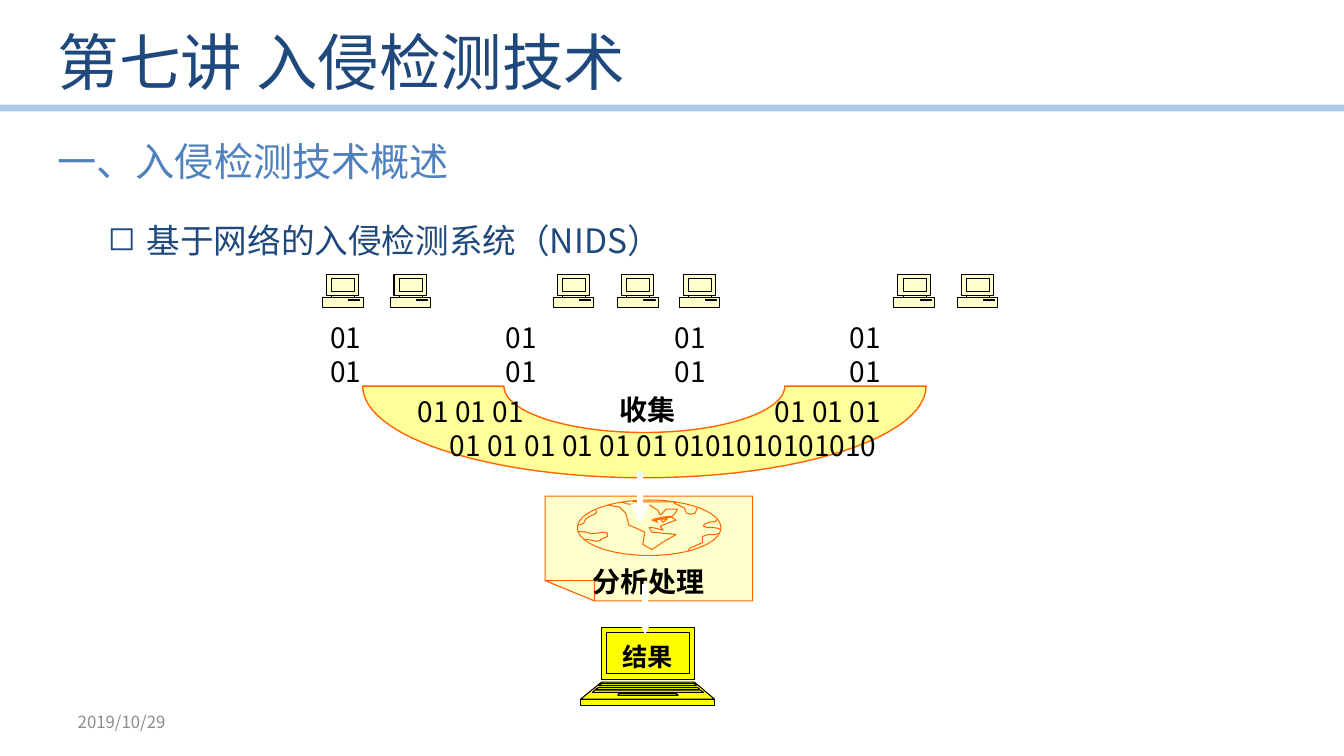
from dataclasses import dataclass
from math import cos, pi, sin

from lxml import etree
from pptx import Presentation
from pptx.dml.color import RGBColor
from pptx.enum.shapes import MSO_CONNECTOR
from pptx.enum.text import MSO_ANCHOR, PP_ALIGN
from pptx.oxml.ns import qn
from pptx.util import Cm, Pt

STRAIGHT = MSO_CONNECTOR.STRAIGHT
TOP, MIDDLE = MSO_ANCHOR.TOP, MSO_ANCHOR.MIDDLE
LEFT, CENTER = PP_ALIGN.LEFT, PP_ALIGN.CENTER


@dataclass(frozen=True)
class Theme:
    font: str = "Noto Sans CJK SC"
    navy: str = "1F497D"
    blue: str = "4F81BD"
    rule: str = "8EB4E3"
    gray: str = "8C8C8C"
    black: str = "000000"
    white: str = "FFFFFF"
    orange: str = "FF6600"
    cream: str = "FFFFCC"
    lemon: str = "FFFF99"
    yellow: str = "FFFF00"
    title: int = 44
    head: int = 28
    body: int = 24
    label: int = 20
    small: int = 18
    date: int = 12


def band(left, top, right, low, left2=None, right2=None):
    return [(left, top), (right, top),
            (right if right2 is None else right2, low),
            (left if left2 is None else left2, low)]


def arc(x, y, wide, high, start, end, steps=48):
    turns = [start + (end - start) * i / steps for i in range(steps + 1)]
    return [(x + wide * cos(t), y + high * sin(t)) for t in turns]


class Board:
    def __init__(self, slide, theme):
        self.slide = slide
        self.theme = theme

    def style(self, frame, text, size, color, bold=False, align=LEFT, pitch=None):
        frame.text = text
        for para in frame.paragraphs:
            para.alignment = align
            para.line_spacing = Pt(pitch or round(size * 1.3))
            for run in para.runs:
                font = run.font
                font.size, font.bold, font.name = Pt(size), bold, self.theme.font
                font.color.rgb = RGBColor.from_string(color)
                etree.SubElement(font._element, qn("a:ea"), typeface=self.theme.font)

    def inset(self, frame, top=0, low=0):
        frame.margin_left = frame.margin_right = 0
        frame.margin_top, frame.margin_bottom = Cm(top), Cm(low)
        frame.word_wrap = True

    def text(self, box, text, size, color, anchor=MIDDLE, **look):
        frame = self.slide.shapes.add_textbox(*map(Cm, box)).text_frame
        self.inset(frame)
        frame.vertical_anchor = anchor
        self.style(frame, text, size, color, **look)
        return frame

    def bullet(self, box, text, size, color, pitch):
        para = self.text(box, text, size, color, TOP, pitch=pitch).paragraphs[0]
        props = para._p.get_or_add_pPr()
        props.set("marL", str(Cm(2.06)))
        props.set("indent", str(Cm(-0.79)))
        etree.SubElement(props, qn("a:buChar"), char="◻")

    def line(self, start, end, color, width, alpha=None, arrow=False):
        link = self.slide.shapes.add_connector(STRAIGHT, *map(Cm, start + end))
        link.line.color.rgb = RGBColor.from_string(color)
        link.line.width = Pt(width)
        stroke = link.line._get_or_add_ln()
        if alpha:
            tint = next(stroke.iter(qn("a:srgbClr")))
            etree.SubElement(tint, qn("a:alpha"), val=str(alpha * 1000))
        if arrow:
            etree.SubElement(stroke, qn("a:tailEnd"), type="triangle")
        etree.SubElement(link._element.spPr, qn("a:effectLst"))

    def outline(self, left, top, closed, fill, color, width=0.75, strokes=()):
        parts = [(ring, True) for ring in closed] + [(ring, False) for ring in strokes]
        build = None
        for ring, close in parts:
            points = [(Cm(left + x), Cm(top + y)) for x, y in ring]
            if build is None:
                build = self.slide.shapes.build_freeform(*points[0])
            else:
                build.move_to(*points[0])
            build.add_line_segments(points[1:], close=close)
        shape = build.convert_to_shape()
        self.split(shape, len(closed))
        shape.shadow.inherit = False
        shape.fill.solid()
        shape.fill.fore_color.rgb = RGBColor.from_string(fill)
        shape.line.color.rgb = RGBColor.from_string(color)
        shape.line.width = Pt(width)
        return shape

    def split(self, shape, filled):
        whole = next(shape._element.iter(qn("a:path")))
        rings = whole.getparent()
        for step in list(whole):
            if step.tag == qn("a:moveTo"):
                part = etree.SubElement(rings, whole.tag, dict(whole.attrib))
                if len(rings) - 1 > filled:
                    part.set("fill", "none")
            part.append(step)
        rings.remove(whole)

    def label(self, shape, text, size, top=0, low=0):
        frame = shape.text_frame
        self.inset(frame, top, low)
        frame.vertical_anchor = MIDDLE
        self.style(frame, text, size, self.theme.black, bold=True, align=CENTER)


SCREEN = [band(0.1, 0, 0.91, 0.51), band(0.23, 0.51, 0.81, 0.56),
          band(0, 0.56, 1.02, 0.81), band(0.23, 0.08, 0.81, 0.41),
          band(0.66, 0.61, 0.94, 0.64)]
LAPTOP = [band(0.53, 0, 2.87, 1.3), band(0.53, 1.37, 2.87, 1.8, 0, 3.38),
          band(0, 1.8, 3.38, 1.96), band(0.66, 0.13, 2.74, 1.14),
          band(0.53, 1.4, 2.87, 1.45, 0.46, 2.92),
          band(0.46, 1.5, 2.95, 1.55, 0.38, 3),
          band(0.36, 1.57, 3.02, 1.63, 0.3, 3.1),
          band(0.97, 1.65, 2.41, 1.7, 0.94, 2.46)]
PAGE = [[(0, 0), (5.23, 0), (5.23, 2.64), (1.24, 2.64), (0, 2.13)],
        [(0, 2.13), (1.24, 2.13), (1.24, 2.64)],
        arc(2.62, 0.8, 1.81, 0.7, 0, 2 * pi)]
COASTS = [
    [(2.21, 0.13), (2.34, 0.15), (3.28, 0.15), (3.25, 0.18), (3.51, 0.3),
     (3.56, 0.43), (3.66, 0.46), (3.78, 0.43), (3.84, 0.28)],
    [(0.81, 0.74), (0.97, 0.69), (1.02, 0.58), (1.12, 0.51), (1.24, 0.46),
     (1.3, 0.41), (1.27, 0.33)],
    [(0.84, 0.89), (1.04, 0.91), (1.12, 0.94), (1.27, 0.94), (1.47, 0.91),
     (1.57, 0.94), (1.57, 1.02), (1.4, 1.09), (1.4, 1.12), (1.3, 1.14),
     (1.04, 1.09), (0.97, 1.09)],
    [(3.61, 1.4), (3.63, 1.32), (3.86, 1.22), (3.96, 1.17), (3.96, 1.02),
     (4.11, 0.97), (4.29, 0.97), (4.37, 0.94)],
    [(4.42, 0.84), (4.34, 0.81), (4.19, 0.79), (4.06, 0.79), (3.99, 0.76),
     (4.01, 0.71), (4.14, 0.66), (4.29, 0.64), (4.34, 0.58)],
    [(1.93, 0.15), (2.08, 0.2), (2.64, 0.23), (2.84, 0.36), (2.9, 0.48),
     (3.05, 0.33), (3.33, 0.33), (3.28, 0.43), (3.2, 0.51), (2.97, 0.53),
     (2.74, 0.58), (2.69, 0.61), (2.84, 0.66), (2.77, 0.61), (2.9, 0.58),
     (2.97, 0.66), (3.07, 0.58), (2.92, 0.58), (3.18, 0.53), (3.3, 0.61),
     (3.15, 0.66), (2.95, 0.74), (2.9, 0.76), (2.97, 0.86), (2.69, 0.79),
     (2.62, 0.79), (2.69, 0.91), (3.3, 0.97), (3, 1.14), (2.69, 1.35),
     (2.46, 1.22), (2.51, 0.91), (2.18, 0.76), (2.11, 0.74), (2.03, 0.43),
     (1.88, 0.28), (1.6, 0.23)]]
FUNNEL = arc(0, 0, 7.1, 2.31, 0, pi) + arc(0, 0, 3.54, 1.17, pi, 0)


def main():
    deck = Presentation()
    deck.slide_width, deck.slide_height = Cm(33.87), Cm(19.05)
    theme = Theme()
    board = Board(deck.slides.add_slide(deck.slide_layouts[6]), theme)

    board.line((0, 2.72), (33.87, 2.72), theme.rule, 4.75, alpha=73)
    laptop = board.outline(14.63, 15.82, LAPTOP, theme.yellow, theme.black)
    board.label(laptop, "结果", theme.small, low=0.58)
    page = board.outline(13.74, 12.5, PAGE, theme.cream, theme.orange, strokes=COASTS)
    board.label(page, "分析处理", theme.label, top=1.6)

    board.text((1.45, 0.23, 27.5, 2.46), "第七讲 入侵检测技术", theme.title, theme.navy)
    board.bullet((1.45, 5.26, 30.7, 1.4), " 基于网络的入侵检测系统（NIDS）",
                 theme.body, theme.navy, 37)
    board.text((1.96, 17.65, 7.4, 1.02), "2019/10/29", theme.date, theme.gray)
    board.text((1.45, 3.38, 12, 1.28), "一、入侵检测技术概述", theme.head, theme.blue, TOP)

    for left in (8.32, 12.75, 17.01, 21.42):
        board.text((left, 8.08, 1.2, 1.7), "01\n01", theme.label, theme.black, pitch=24)
    board.outline(16.24, 9.73, [FUNNEL], theme.lemon, theme.orange, 1)
    board.text((14.73, 9.78, 3.18, 0.99), "收集", theme.label, theme.black,
               bold=True, align=CENTER)
    for left, top, width, bits in (
            (10.53, 9.95, 4, "01 01 01"),
            (19.53, 9.95, 4, "01 01 01"),
            (11.34, 10.8, 12, "01 01 01 01 01 01 0101010101010")):
        board.text((left, top, width, 0.85), bits, theme.label, theme.black, pitch=24)

    for x, top in ((16.13, 11.89), (16.26, 14.71)):
        board.line((x, top), (x, top + 1.28), theme.white, 4.5, arrow=True)
    for left in (8.13, 9.83, 13.94, 15.57, 17.12, 22.53, 24.13):
        board.outline(left, 6.93, SCREEN, theme.cream, theme.black)

    deck.save("out.pptx")


if __name__ == "__main__":
    main()
